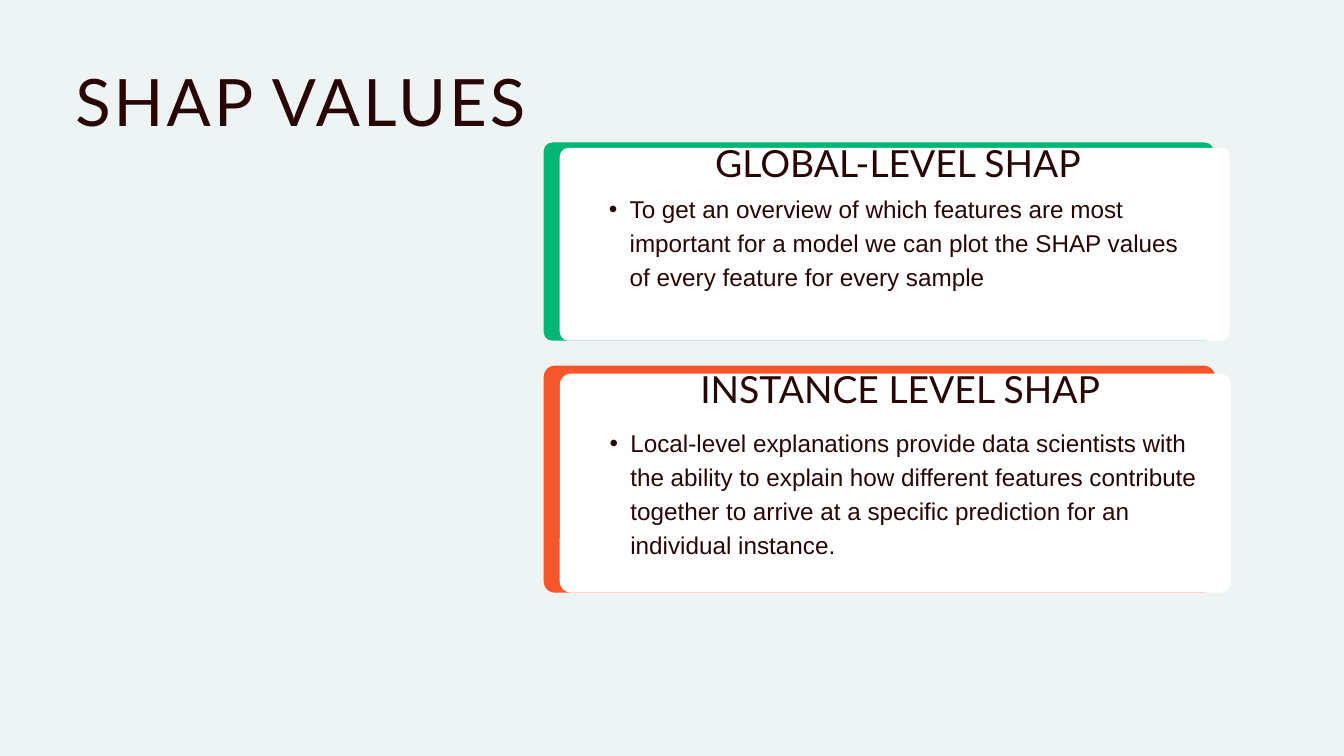
import pptx
import pptx.dml.color
import pptx.enum.shapes
import pptx.enum.text
import pptx.oxml
import pptx.oxml.ns
import pptx.util

PX = 9144  # EMU per px, 100 px to the inch
INK = "290606"
ALIGN = pptx.enum.text.PP_ALIGN


def paint(color_format, hex_color):
    color_format.rgb = pptx.dml.color.RGBColor.from_string(hex_color)


def write(placeholder, text, box, size, line, font="Lato", align=ALIGN.LEFT,
          spacing=0, bullet=False):
    """Place the placeholder at box (px), bring it to the front and fill it."""
    placeholder.left, placeholder.top, placeholder.width, placeholder.height = (
        length * PX for length in box)
    placeholder.element.getparent().append(placeholder.element)
    frame = placeholder.text_frame
    frame.margin_left = frame.margin_top = frame.margin_right = frame.margin_bottom = 0
    frame.vertical_anchor = pptx.enum.text.MSO_ANCHOR.TOP
    frame.auto_size = pptx.enum.text.MSO_AUTO_SIZE.NONE
    frame.word_wrap = True

    paragraph = frame.paragraphs[0]
    paragraph.alignment = align
    paragraph.line_spacing = pptx.util.Pt(line)
    paragraph.space_before = pptx.util.Pt(0)
    if bullet:
        properties = paragraph._p.get_or_add_pPr()
        properties.set("marL", str(61 * PX))
        properties.set("indent", str(-31 * PX))
        properties.append(pptx.oxml.parse_xml(
            f'<a:buChar {pptx.oxml.ns.nsdecls("a")} char="•"/>'))

    run = paragraph.add_run()
    run.text = text
    run.font.name = font
    run.font.size = pptx.util.Pt(size)
    run.font.bold = False
    paint(run.font.color, INK)
    if spacing:
        run._r.get_or_add_rPr().set("spc", str(round(spacing * 100)))


presentation = pptx.Presentation()
presentation.slide_width = 2000 * PX
presentation.slide_height = 1125 * PX
slide = presentation.slides.add_slide(
    presentation.slide_layouts.get_by_name("Comparison"))
slide.background.fill.solid()
paint(slide.background.fill.fore_color, "EEF4F3")

write(slide.shapes.title, "SHAP VALUES", (112, 111, 888, 117), 70, 70, spacing=3.4)

# Each card: accent colour, top, bottom, width, drop of the white panel, corner
# radius, then heading and body with their left and top
cards = [
    ("02B676", 212, 507, 997, 8, 13,
     "GLOBAL-LEVEL SHAP", (881, 219),
     "To get an overview of which features are most important for a model "
     "we can plot the SHAP values of every feature for every sample", (876, 282)),
    ("F7562B", 544, 882, 999, 12, 17,
     "INSTANCE LEVEL SHAP", (884, 556),
     "Local-level explanations provide data scientists with the ability to "
     "explain how different features contribute together to arrive at a "
     "specific prediction for an individual instance.", (877, 630)),
]

for index, card in enumerate(cards):
    (accent, top, bottom, width, drop, radius,
     heading, heading_corner, body, body_corner) = card
    for left, layer_top, color in ((809, top, accent), (833, top + drop, "FFFFFF")):
        height = bottom - layer_top
        panel = slide.shapes.add_shape(
            pptx.enum.shapes.MSO_SHAPE.ROUNDED_RECTANGLE,
            left * PX, layer_top * PX, width * PX, height * PX)
        panel.adjustments[0] = radius / height
        panel.shadow.inherit = False
        panel.fill.solid()
        paint(panel.fill.fore_color, color)
        panel.line.fill.background()

    # The layout numbers its placeholders heading 1, body 2, heading 3, body 4
    placeholders = {shape.placeholder_format.idx: shape for shape in slide.placeholders}
    write(placeholders[2 * index + 1], heading, (*heading_corner, 911, 67), 40, 40,
          align=ALIGN.CENTER)
    write(placeholders[2 * index + 2], body, (*body_corner, 911, 202), 26, 36.4,
          font="Arial", bullet=True)

presentation.save("out.pptx")
